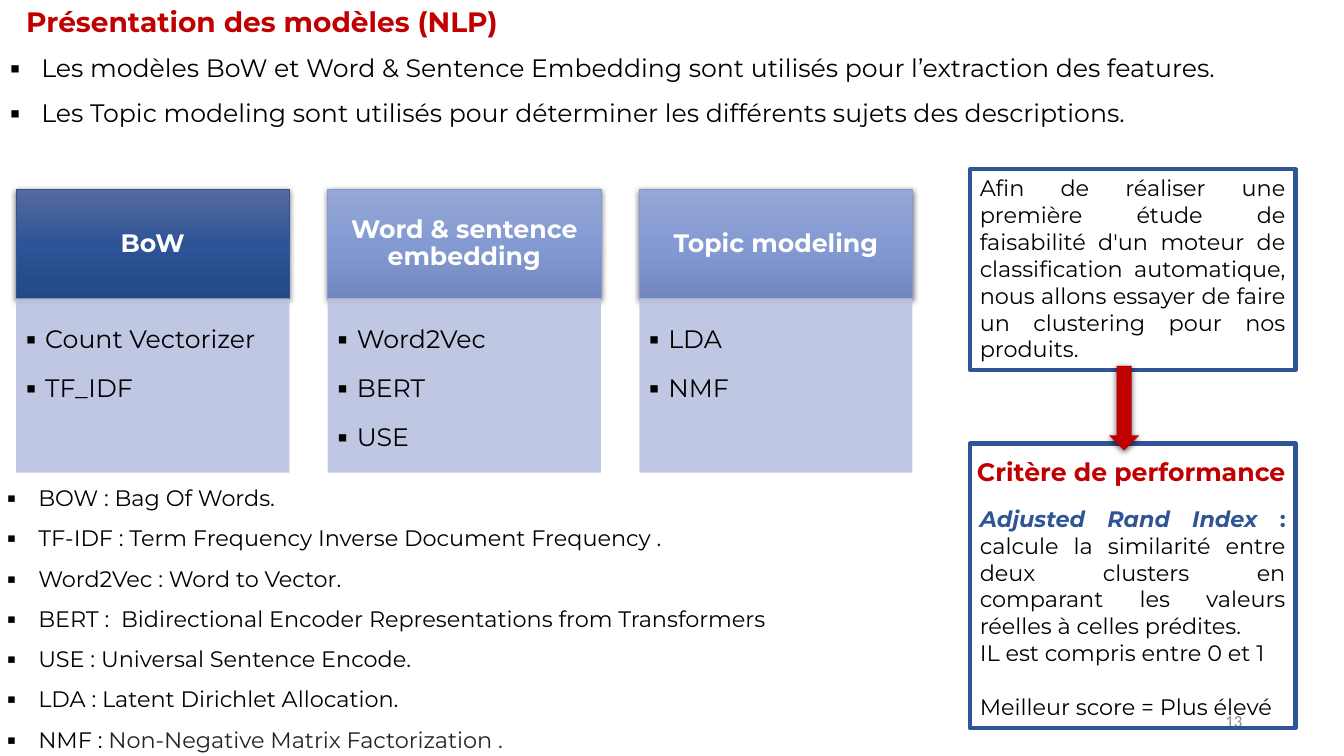
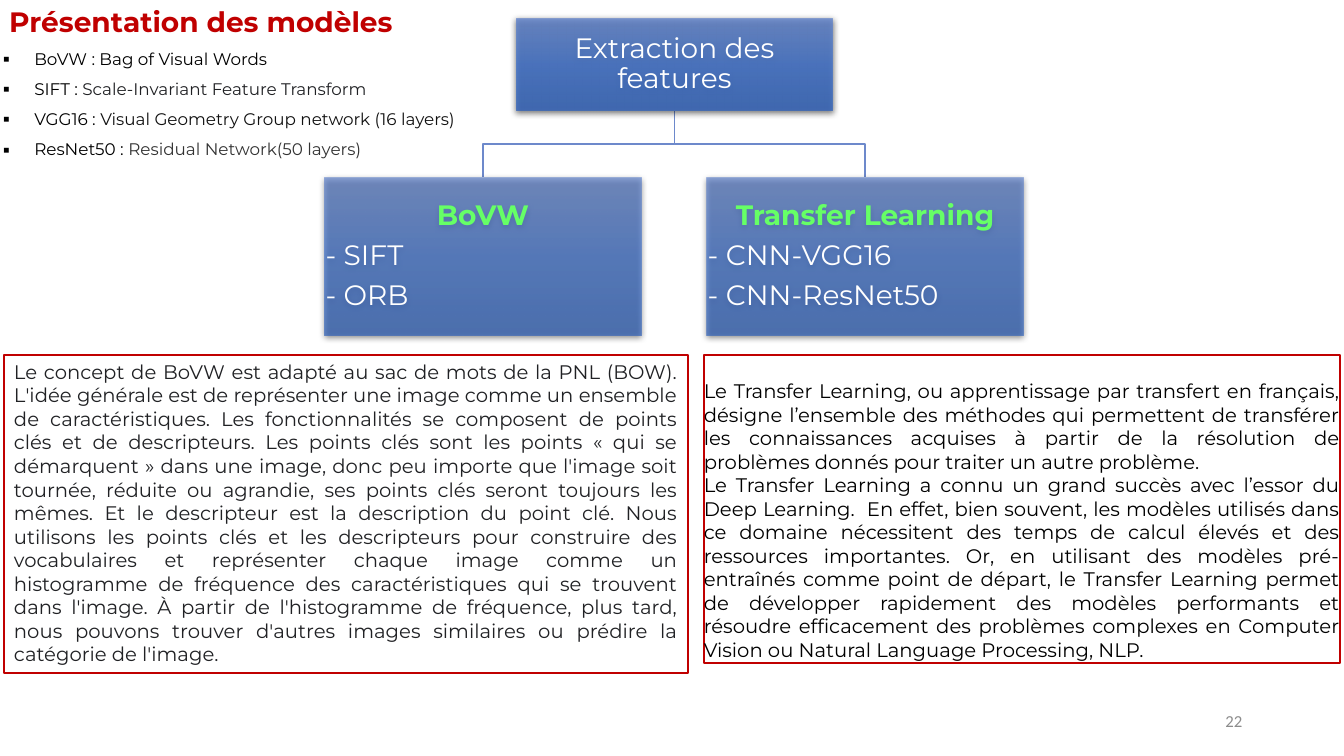
from lxml import etree
from pptx import Presentation
from pptx import util as u
from pptx.dml.color import RGBColor
from pptx.enum import shapes, text
from pptx.oxml.ns import qn

FONT = "Montserrat"
RED, NAVY, BLACK, WHITE = "C00000", "2F5597", "000000", "FFFFFF"
GREEN, PALE, WIRE, GREY = "66FF66", "B9C2E1", "6D89CB", "8C8C8C"
DARK = ("566B9E", "2E5396", "244989")
LIGHT = ("95A7D4", "849AD2", "7187BE")
BLUE = ("6183CB", "3E70CA", "3062BB")
LEFT, MID, RIGHT, JUST = (text.PP_ALIGN.LEFT, text.PP_ALIGN.CENTER,
                          text.PP_ALIGN.RIGHT, text.PP_ALIGN.JUSTIFY)
TOP, CENTER = text.MSO_ANCHOR.TOP, text.MSO_ANCHOR.MIDDLE
PAD = (0.1, 0.05, 0.1, 0.05)


def color(code):
    return RGBColor.from_string(code)


def node(parent, tag, **attrs):
    item = etree.SubElement(parent, qn(tag))
    for key, value in attrs.items():
        item.set(key, str(value))
    return item


def area(box):
    return [u.Inches(side) for side in box]


def fade(parent, percent):
    if percent < 100:
        node(parent, "a:alpha", val=percent * 1000)


def write(frame, *runs, size=16, ink=BLACK, bold=False, slant=False, font=FONT,
          align=LEFT, lines=1, before=0, after=0, bullet=0):
    """Add one paragraph; a run is a string or a (string, format) pair."""
    para = frame.paragraphs[0]
    if para.runs:
        para = frame.add_paragraph()
    if bullet:
        props = para._p.get_or_add_pPr()
        props.set("marL", str(u.Inches(bullet)))
        props.set("indent", str(-u.Inches(bullet)))
        node(props, "a:buFont", typeface=FONT)
        node(props, "a:buChar", char="▪")
    para.alignment, para.line_spacing = align, lines
    para.space_before, para.space_after = u.Pt(before), u.Pt(after)
    for part in runs:
        words, style = (part, {}) if isinstance(part, str) else part
        run = para.add_run()
        run.text = words
        run.font.name, run.font.size = font, u.Pt(size)
        run.font.bold = style.get("bold", bold)
        run.font.italic = style.get("slant", slant)
        run.font.color.rgb = color(style.get("ink", ink))


def setup(frame, anchor=TOP, pad=PAD):
    frame.word_wrap = True
    frame.auto_size = text.MSO_AUTO_SIZE.NONE
    frame.vertical_anchor = anchor
    (frame.margin_left, frame.margin_top,
     frame.margin_right, frame.margin_bottom) = area(pad)
    return frame


def label(slide, box, words, **style):
    frame = setup(slide.shapes.add_textbox(*area(box)).text_frame, CENTER)
    write(frame, words, **style)


def fill_holder(slide, index, box):
    holder = slide.placeholders[index]
    holder.left, holder.top, holder.width, holder.height = area(box)
    return setup(holder.text_frame)


def bullets(slide, index, box, rows, size):
    frame = fill_holder(slide, index, box)
    for row in rows:
        write(frame, *row, size=size, lines=1.5, bullet=0.31)


def panel(slide, box, fill=None, alpha=100, edge=None, width=0.5, shade=False,
          kind=shapes.MSO_SHAPE.RECTANGLE, anchor=TOP, pad=PAD):
    """Draw a shape with a plain or three-step fill and return its text frame."""
    shape = slide.shapes.add_shape(kind, *area(box))
    shape.shadow.inherit = False
    props = shape.element.spPr
    if fill is None:
        shape.fill.background()
    elif isinstance(fill, str):
        shape.fill.solid()
        shape.fill.fore_color.rgb = color(fill)
        fade(props.find(qn("a:solidFill"))[0], alpha)
    else:
        shape.fill.gradient()
        shape.fill.gradient_angle = 270
        stops = props.find(qn("a:gradFill")).find(qn("a:gsLst"))
        for stop in list(stops):
            stops.remove(stop)
        for step, code in enumerate(fill):
            stop = node(stops, "a:gs", pos=step * 50000)
            fade(node(stop, "a:srgbClr", val=code), alpha)
    if edge:
        shape.line.color.rgb = color(edge)
        shape.line.width = u.Pt(width)
    else:
        shape.line.fill.background()
    if shade:
        glow = node(props.find(qn("a:effectLst")), "a:outerShdw", blurRad=u.Pt(4.5),
                    dist=u.Pt(1.5), dir=5400000, algn="ctr", rotWithShape=0)
        fade(node(glow, "a:srgbClr", val=BLACK), 63)
    return setup(shape.text_frame, anchor, pad)


def wire(slide, points):
    start, *rest = [area(point) for point in points]
    pen = slide.shapes.build_freeform(*start)
    pen.add_line_segments(rest, close=False)
    line = pen.convert_to_shape()
    line.shadow.inherit = False
    line.fill.background()
    line.line.color.rgb = color(WIRE)
    line.line.width = u.Pt(1)


def page(deck, layout, title, box, number):
    slide = deck.slides.add_slide(deck.slide_layouts[layout])
    write(fill_holder(slide, 0, box), title, size=20, ink=RED, bold=True)
    label(slide, (9.42, 6.95, 3, 0.4), number, size=12, ink=GREY,
          font="Calibri", align=RIGHT)
    return slide


def card(slide, left, head, items, fill, edge):
    frame = panel(slide, (left, 1.88, 2.71, 1.08), fill, edge=edge, shade=True,
                  anchor=CENTER, pad=(0.14, 0.08, 0.14, 0.08))
    write(frame, head, size=18, ink=WHITE, bold=True, align=MID, lines=0.9)
    frame = panel(slide, (left, 2.96, 2.71, 1.73), PALE, 90,
                  pad=(0.1, 0.1, 0.14, 0.16))
    for item in items:
        write(frame, item, size=18, lines=1.5, after=2.7, bullet=0.19)


def tree_box(slide, box, alpha):
    return panel(slide, box, BLUE, alpha, shade=True, anchor=CENTER, pad=(0.01,) * 4)


def nlp_page(deck):
    slide = page(deck, 3, "Présentation des modèles (NLP)", (0.16, -0.01, 7.15, 0.44), "13")
    bullets(slide, 1, (0, 0.32, 13.02, 0.96), [
        ["Les modèles BoW et Word & Sentence Embedding sont utilisés pour l’extraction des features."],
        ["Les Topic modeling sont utilisés pour déterminer les différents sujets des descriptions."],
    ], 18)
    bullets(slide, 2, (-0.03, 4.62, 9.67, 2.88), [
        ["BOW : Bag Of Words."],
        ["TF-IDF : Term Frequency Inverse Document Frequency ."],
        ["Word2Vec : Word to Vector."],
        ["BERT :  Bidirectional Encoder Representations from Transformers"],
        ["USE : Universal Sentence Encode."],
        ["LDA : Latent Dirichlet Allocation."],
        ["NMF : ", ("Non-Negative Matrix Factorization .", {"ink": "212529"})],
    ], 16)
    cards = [
        ("BoW", ["Count Vectorizer", "TF_IDF"], DARK, "325491"),
        ("Word & sentence embedding", ["Word2Vec", "BERT", "USE"], LIGHT, "879BCE"),
        ("Topic modeling", ["LDA", "NMF"], LIGHT, "879BCE"),
    ]
    for col, spec_row in enumerate(cards):
        card(slide, 0.16 + 3.09 * col, *spec_row)

    label(slide, (9.45, 4.48, 3.54, 0.4), "Critère de performance",
          size=18, ink=RED, bold=True, align=MID)
    frame = panel(slide, (9.62, 4.4, 3.23, 2.82), edge=NAVY, width=3,
                  pad=(0.1, 0.61, 0.1, 0.05))
    write(frame,
          ("Adjusted Rand Index ", {"ink": NAVY, "bold": True, "slant": True}),
          (": ", {"ink": NAVY, "bold": True}),
          "calcule la similarité entre deux clusters en comparant les valeurs "
          "réelles à celles prédites.", align=JUST)
    write(frame, "IL est compris entre 0 et 1", align=JUST)
    write(frame, "Meilleur score = Plus élevé", align=JUST, before=19.5)
    frame = panel(slide, (9.62, 1.68, 3.23, 1.99), edge=NAVY, width=3)
    write(frame, "Afin de réaliser une première étude de faisabilité d'un moteur de "
          "classification automatique, nous allons essayer de faire un clustering "
          "pour nos produits.", align=JUST)
    panel(slide, (11, 3.63, 0.3, 0.84), RED, shade=True, kind=shapes.MSO_SHAPE.DOWN_ARROW)


def image_page(deck):
    slide = page(deck, 1, "Présentation des modèles", (-0.01, -0.01, 4.43, 0.44), "22")
    bullets(slide, 1, (-0.07, 0.33, 4.84, 1.28), [
        ["BoVW : Bag of Visual Words"],
        ["SIFT : ", ("Scale-Invariant Feature Transform", {"ink": "202124"})],
        ["VGG16 : ", ("Visual Geometry Group network (16 layers)", {"ink": "111111"})],
        ["ResNet50 : ", ("Residual Network(50 layers)", {"ink": "333333"})],
    ], 12)

    wide, root, top = 3.14, 5.12, 1.76
    stem = root + wide / 2
    kids = [
        (3.22, "BoVW", ["- SIFT", "- ORB"]),
        (7.01, "Transfer Learning", ["- CNN-VGG16", "- CNN-ResNet50"]),
    ]
    for left, head, items in kids:
        drop = left + wide / 2
        wire(slide, [(stem, 1.1), (stem, 1.43), (drop, 1.43), (drop, top)])
    frame = tree_box(slide, (root, 0.18, wide, 0.92), 80)
    write(frame, "Extraction des features", size=20, ink=WHITE, align=MID, lines=0.9)
    for left, head, items in kids:
        frame = tree_box(slide, (left, top, wide, 1.57), 70)
        write(frame, head, size=20, ink=GREEN, bold=True, align=MID, lines=0.9, after=7)
        for item in items:
            write(frame, item, size=20, ink=WHITE, lines=0.9, after=7)

    frame = panel(slide, (0.04, 3.52, 6.78, 3.16), edge=RED, width=1.5)
    write(frame, "Le concept de BoVW est adapté au sac de mots de la PNL (BOW). "
          "L'idée générale est de représenter une image comme un ensemble de "
          "caractéristiques. Les fonctionnalités se composent de points clés et de "
          "descripteurs. Les points clés sont les points « qui se démarquent » dans une "
          "image, donc peu importe que l'image soit tournée, réduite ou agrandie, ses "
          "points clés seront toujours les mêmes. Et le descripteur est la description "
          "du point clé. Nous utilisons les points clés et les descripteurs pour "
          "construire des vocabulaires et représenter chaque image comme un histogramme "
          "de fréquence des caractéristiques qui se trouvent dans l'image. À partir de "
          "l'histogramme de fréquence, plus tard, nous pouvons trouver d'autres images "
          "similaires ou prédire la catégorie de l'image.",
          size=14, ink="202124", align=JUST)
    frame = panel(slide, (6.98, 3.52, 6.31, 3.06), edge=RED, width=1.5,
                  pad=(0, 0.24, 0, 0))
    write(frame, "Le Transfer Learning, ou apprentissage par transfert en français, "
          "désigne l’ensemble des méthodes qui permettent de transférer les "
          "connaissances acquises à partir de la résolution de problèmes donnés pour "
          "traiter un autre problème.", size=14, align=JUST)
    write(frame, "Le Transfer Learning a connu un grand succès avec l’essor "
          "du Deep Learning.  En effet, bien souvent, les modèles utilisés dans ce "
          "domaine nécessitent des temps de calcul élevés et des ressources "
          "importantes. Or, en utilisant des modèles pré-entraînés comme point de "
          "départ, le Transfer Learning permet de développer rapidement des modèles "
          "performants et résoudre efficacement des problèmes complexes en Computer "
          "Vision ou Natural Language Processing, NLP.", size=14, align=JUST)


def main():
    deck = Presentation()
    deck.slide_width, deck.slide_height = area((13.33, 7.5))
    nlp_page(deck)
    image_page(deck)
    deck.save("out.pptx")


if __name__ == "__main__":
    main()
